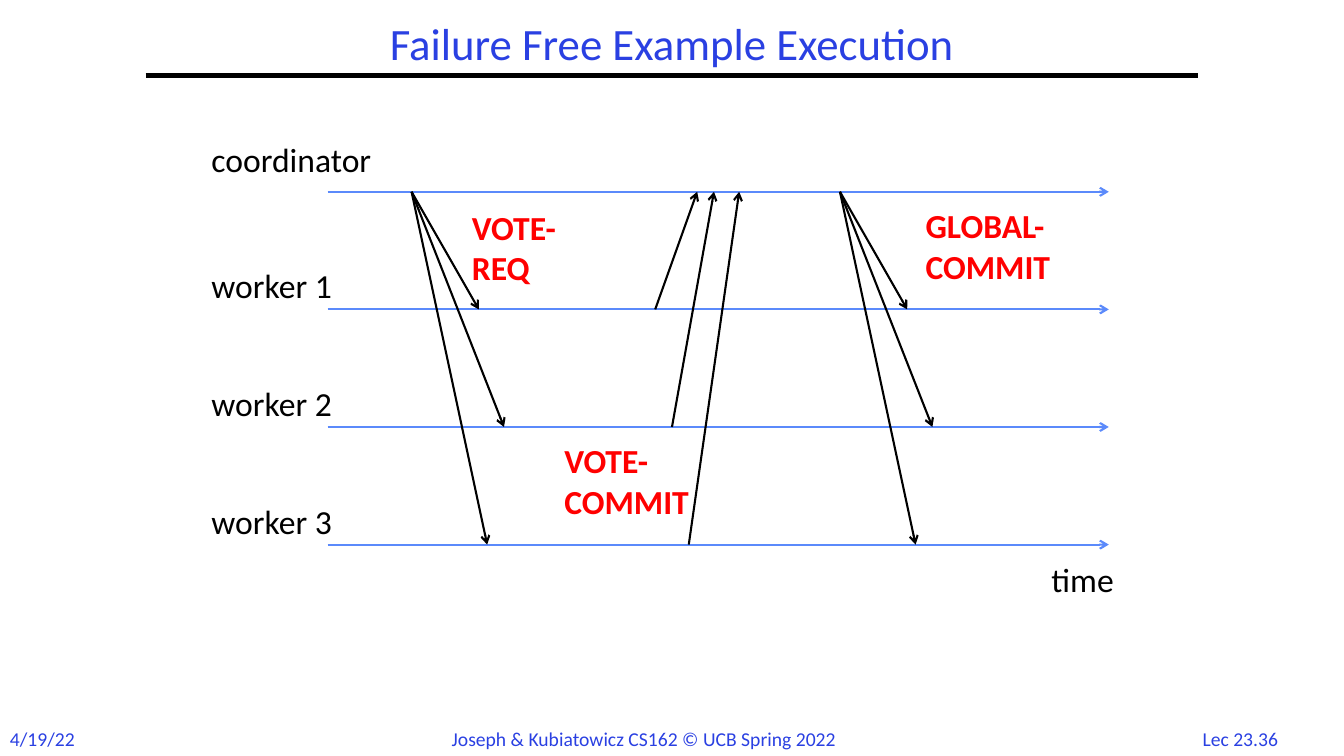
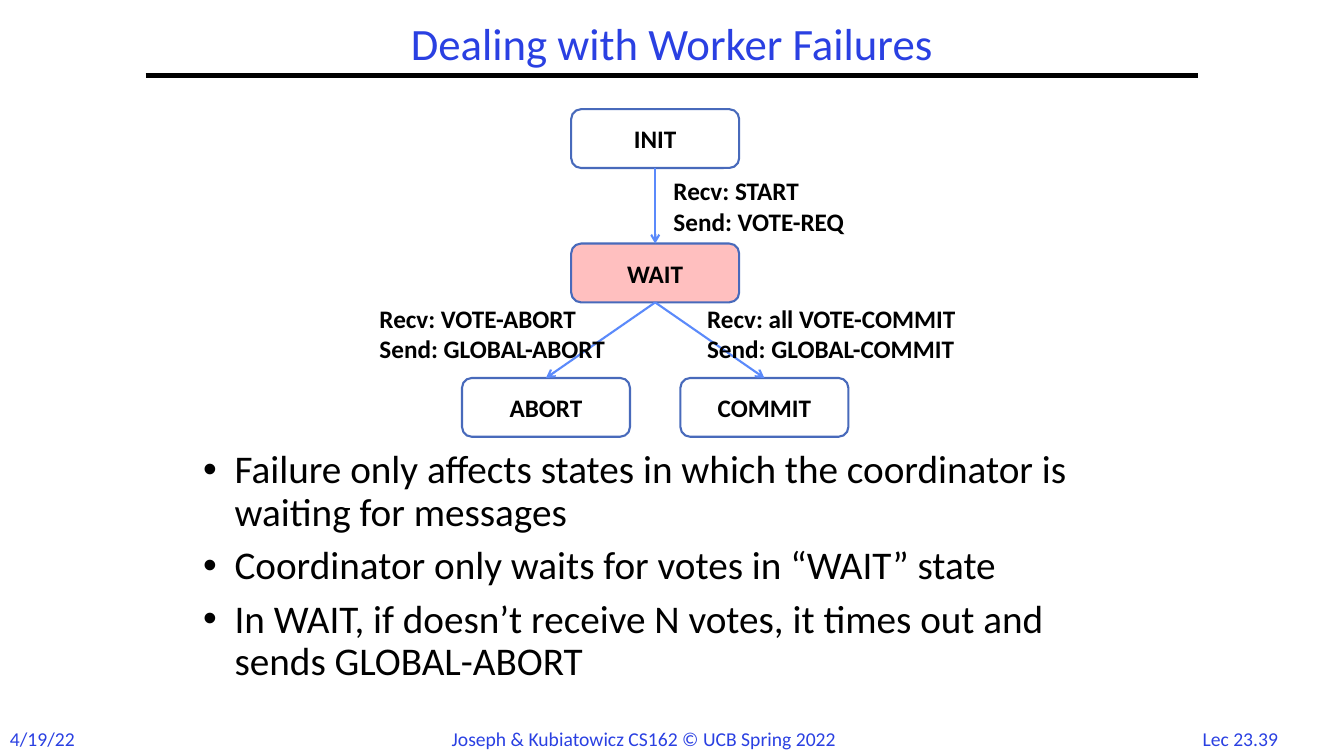
from dataclasses import dataclass

from lxml import etree
from pptx import Presentation
from pptx import util as u
from pptx.dml import color
from pptx.enum import shapes, text
from pptx.oxml import ns

FONT = "Calibri"
BLUE, BLACK, RED = "2A40E2", "000000", "FF0000"
ARROW_BLUE, OUTLINE_BLUE = "5B8AFB", "486ABB"
LEFT, CENTER = text.PP_ALIGN.LEFT, text.PP_ALIGN.CENTER
TOP, MIDDLE = text.MSO_ANCHOR.TOP, text.MSO_ANCHOR.MIDDLE
LANE_TOP, LANE_GAP = 137, 84
LANE_START, LANE_END = 234, 792
NODE_WIDTH, NODE_HEIGHT = 120, 42


@dataclass(frozen=True)
class Label:
    wording: str
    left: float
    top: float
    width: float
    height: float


@dataclass(frozen=True)
class Message:
    start_x: float
    start_lane: int
    end_x: float
    end_lane: int


@dataclass(frozen=True)
class Node:
    name: str
    left: float
    top: float
    waiting: bool = False


LANES = ["coordinator", "worker 1", "worker 2", "worker 3"]
BROADCAST_STARTS = [294, 600]
BROADCAST_OFFSETS = [48, 66, 54]
REPLIES = [Message(468, 1, 498, 0), Message(480, 2, 510, 0), Message(492, 3, 528, 0)]
MESSAGE_LABELS = [
    Label("VOTE-REQ", 330, 144, 96, 66),
    Label("VOTE-COMMIT", 396, 311, 114, 66),
    Label("GLOBAL-COMMIT", 654, 143, 120, 66),
]
NODES = [
    Node("INIT", 408, 78),
    Node("WAIT", 408, 174, waiting=True),
    Node("ABORT", 330, 270),
    Node("COMMIT", 486, 270),
]
TRANSITIONS = [("INIT", "WAIT"), ("WAIT", "ABORT"), ("WAIT", "COMMIT")]
TRANSITION_LABELS = [
    Label("Recv: START\nSend: VOTE-REQ", 474, 122, 180, 51),
    Label("Recv: VOTE-ABORT\nSend: GLOBAL-ABORT", 264, 213, 180, 51),
    Label("Recv: all VOTE-COMMIT\nSend: GLOBAL-COMMIT", 498, 213, 198, 51),
]
POINTS = [
    "Failure only affects states in which the coordinator is waiting for messages",
    "Coordinator only waits for votes in “WAIT” state",
    "In WAIT, if doesn’t receive N votes, it times out and sends GLOBAL-ABORT",
]


def rgb(value: str) -> color.RGBColor:
    return color.RGBColor.from_string(value)


def write(box, wording: str, size: float, ink: str = BLACK, bold: bool = False,
          align=LEFT, anchor=TOP) -> None:
    frame = box.text_frame
    frame.word_wrap = True
    frame.vertical_anchor = anchor
    frame.text = wording
    for para in frame.paragraphs:
        para.alignment = align
        for span in para.runs:
            span.font.name = FONT
            span.font.size = u.Pt(size)
            span.font.bold = bold
            span.font.color.rgb = rgb(ink)


def add_label(page, label: Label, size: float, ink: str = BLACK, bold: bool = False,
              align=LEFT, anchor=TOP):
    box = page.shapes.add_textbox(u.Pt(label.left), u.Pt(label.top),
                                  u.Pt(label.width), u.Pt(label.height))
    write(box, label.wording, size, ink, bold, align, anchor)
    return box


def add_line(page, start: tuple[float, float], end: tuple[float, float], ink: str,
             weight: float = 1.5, arrow: bool = True):
    line = page.shapes.add_connector(shapes.MSO_CONNECTOR.STRAIGHT,
                                     *map(u.Pt, start + end))
    line.line.color.rgb = rgb(ink)
    line.line.width = u.Pt(weight)
    if arrow:
        etree.SubElement(line.line._get_or_add_ln(), ns.qn("a:tailEnd"), type="arrow")
    etree.SubElement(line._element.spPr, ns.qn("a:effectLst"))
    return line


def add_node(page, node: Node):
    box = page.shapes.add_shape(shapes.MSO_SHAPE.ROUNDED_RECTANGLE, u.Pt(node.left),
                                u.Pt(node.top), u.Pt(NODE_WIDTH), u.Pt(NODE_HEIGHT))
    box.shadow.inherit = False
    box.line.color.rgb = rgb(OUTLINE_BLUE)
    box.line.width = u.Pt(1.5)
    if node.waiting:
        box.fill.solid()
        box.fill.fore_color.rgb = rgb(RED)
        tint = box._element.spPr.find(ns.qn("a:solidFill")).find(ns.qn("a:srgbClr"))
        etree.SubElement(tint, ns.qn("a:alpha"), val="25000")
    else:
        box.fill.background()
    frame = box.text_frame
    frame.margin_left = frame.margin_right = frame.margin_top = frame.margin_bottom = 0
    write(box, node.name, 18, bold=True, align=CENTER, anchor=MIDDLE)
    return box


def add_bullets(page, area: Label) -> None:
    box = add_label(page, area, 28)
    for para in box.text_frame.paragraphs:
        para.line_spacing = 0.9
        para.space_before = u.Pt(8)
        props = para._p.get_or_add_pPr()
        props.set("marL", str(u.Pt(22.5)))
        props.set("indent", str(u.Pt(-22.5)))
        etree.SubElement(props, ns.qn("a:buFont"), typeface="Arial")
        etree.SubElement(props, ns.qn("a:buChar"), char="•")


def add_page(deck, title: str, number: int):
    page = deck.slides.add_slide(deck.slide_layouts[6])
    add_line(page, (104, 54), (856, 54), BLACK, 3, arrow=False)
    heading = add_label(page, Label(title, 104, 12, 752, 42), 32, BLUE,
                        align=CENTER, anchor=MIDDLE)
    heading.text_frame.paragraphs[0].line_spacing = 0.9
    add_label(page, Label("4/19/22", 0, 515.5, 70, 24), 14, BLUE)
    add_label(page, Label("Joseph & Kubiatowicz CS162 © UCB Spring 2022",
                          306, 515.5, 308, 24), 14, BLUE, align=CENTER)
    add_label(page, Label(f"Lec 23.{number}", 846, 515.5, 80, 24), 14, BLUE,
              align=CENTER)
    return page


def lane_y(lane: int) -> float:
    return LANE_TOP + lane * LANE_GAP


def build_execution(deck) -> None:
    page = add_page(deck, "Failure Free Example Execution", 36)
    for lane, name in enumerate(LANES):
        y = lane_y(lane)
        add_line(page, (LANE_START, y), (LANE_END, y), ARROW_BLUE)
        rise = 35 if lane else 41
        add_label(page, Label(name, 144, y - rise, 144, 36), 24)
    add_label(page, Label("time", 744, 396, 66, 36), 24)
    broadcasts = [Message(start, 0, start + offset, lane)
                  for start in BROADCAST_STARTS
                  for lane, offset in enumerate(BROADCAST_OFFSETS, 1)]
    for message in broadcasts + REPLIES:
        add_line(page, (message.start_x, lane_y(message.start_lane)),
                 (message.end_x, lane_y(message.end_lane)), BLACK)
    for label in MESSAGE_LABELS:
        add_label(page, label, 24, RED, bold=True)


def build_failures(deck) -> None:
    page = add_page(deck, "Dealing with Worker Failures", 39)
    add_bullets(page, Label("\n".join(POINTS), 138, 318, 666, 186))
    boxes = {node.name: add_node(page, node) for node in NODES}
    for source, target in TRANSITIONS:
        arrow = add_line(page, (0, 0), (0, 0), ARROW_BLUE)
        arrow.begin_connect(boxes[source], 2)
        arrow.end_connect(boxes[target], 0)
    for label in TRANSITION_LABELS:
        add_label(page, label, 18, bold=True)


def main() -> None:
    deck = Presentation()
    deck.slide_width, deck.slide_height = u.Pt(960), u.Pt(540)
    build_execution(deck)
    build_failures(deck)
    deck.save("out.pptx")


if __name__ == "__main__":
    main()
